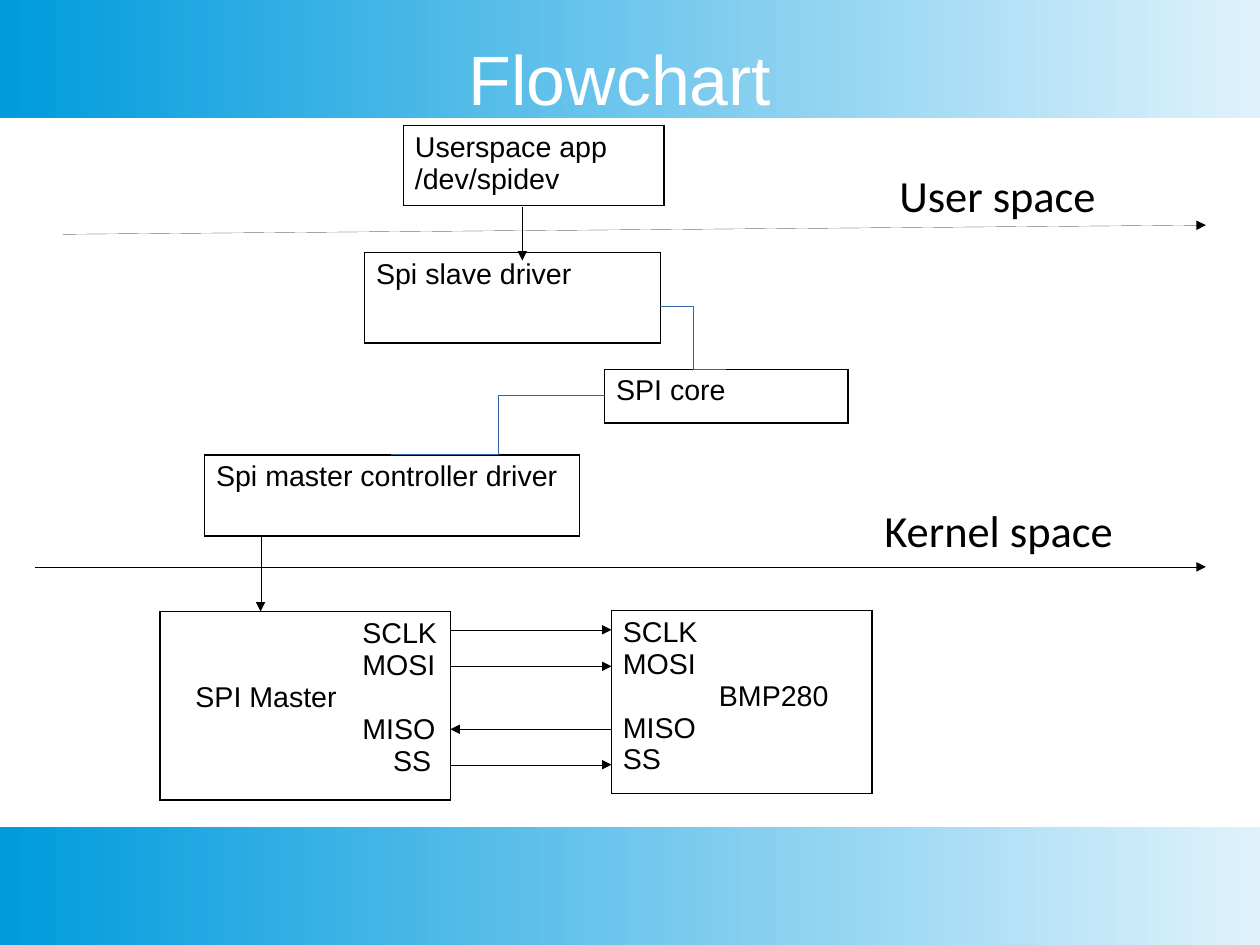
from lxml import etree
from pptx import Presentation
from pptx.dml.color import RGBColor
from pptx.enum.shapes import MSO_CONNECTOR, MSO_SHAPE
from pptx.enum.text import MSO_ANCHOR, PP_ALIGN
from pptx.oxml.ns import qn
from pptx.util import Inches, Pt

RECT = MSO_SHAPE.RECTANGLE
STRAIGHT, ELBOW = MSO_CONNECTOR.STRAIGHT, MSO_CONNECTOR.ELBOW
LEFT, CENTER = PP_ALIGN.LEFT, PP_ALIGN.CENTER
TOP, MIDDLE = MSO_ANCHOR.TOP, MSO_ANCHOR.MIDDLE

COLORS = {"deep": "009BDD", "pale": "DFF2FC", "ink": "000000",
          "link": "3465A4", "white": "FFFFFF"}
# The page is 28 by 21 cm
WIDTH, HEIGHT, BAR = 28 / 2.54, 21 / 2.54, 1.03

# Boxes: left, top, width, height, row height, lines of (text, indent)
BOXES = [
    (3.53, 1.1, 2.28, 0.7, 0.37, [("Userspace app", 0), ("/dev/spidev", 0)]),
    (3.19, 2.21, 2.59, 0.79, 0.79, [("Spi slave driver", 0)]),
    (5.29, 3.23, 2.13, 0.47, 0.47, [("SPI core", 0)]),
    (1.79, 3.98, 3.28, 0.71, 0.71, [("Spi master controller driver", 0)]),
    (1.4, 5.35, 2.54, 1.65, 1.65, [("SCLK", 1.67), ("MOSI", 1.67),
                                   ("SPI Master", 0.21), ("MISO", 1.67),
                                   ("SS", 1.94)]),
    (5.35, 5.34, 2.28, 1.6, 1.58, [("SCLK", 0), ("MOSI", 0),
                                   ("BMP280", 0.84), ("MISO", 0),
                                   ("SS", 0)]),
]
# Bus lines: height and whether the signal runs to the master
BUS = [(5.51, False), (5.83, False), (6.38, True), (6.69, False)]
BUS_LEFT, BUS_RIGHT = 3.94, 5.35


def rgb(name):
    return RGBColor.from_string(COLORS[name])


def write(frame, lines, size=18, font="Arial", color="ink", align=LEFT):
    for i, (text, indent) in enumerate(lines):
        para = frame.add_paragraph() if i else frame.paragraphs[0]
        para.alignment = align
        if indent:
            props = para._p.get_or_add_pPr()
            props.set("marL", str(Inches(indent)))
            props.set("indent", "0")
        run = para.add_run()
        run.text = text
        run.font.size = Pt(size)
        run.font.name = font
        run.font.color.rgb = rgb(color)


def add_bar(slide, top):
    bar = slide.shapes.add_shape(RECT, 0, Inches(top),
                                 Inches(WIDTH), Inches(BAR))
    bar.shadow.inherit = False
    bar.line.fill.background()
    bar.fill.gradient()
    bar.fill.gradient_angle = 0
    for stop, name in zip(bar.fill.gradient_stops, ("deep", "pale")):
        stop.color.rgb = rgb(name)


def add_label(slide, text, left, top, width, height, inset=True,
              anchor=TOP, **style):
    box = slide.shapes.add_textbox(*map(Inches, (left, top, width, height)))
    frame = box.text_frame
    frame.word_wrap = True
    frame.vertical_anchor = anchor
    if not inset:
        frame.margin_left = frame.margin_right = 0
        frame.margin_top = frame.margin_bottom = 0
    write(frame, [(text, 0)], **style)


def add_box(slide, left, top, width, height, row, lines):
    area = map(Inches, (left, top, width, height))
    holder = slide.shapes.add_table(1, 1, *area)
    table = holder.table
    table.first_row = table.horz_banding = False
    table.rows[0].height = Inches(row)
    holder.height = Inches(height)
    cell = table.cell(0, 0)
    props = cell._tc.get_or_add_tcPr()
    for side in ("lnL", "lnR", "lnT", "lnB"):
        edge = etree.SubElement(props, qn("a:" + side), w=str(Pt(1)))
        fill = etree.SubElement(edge, qn("a:solidFill"))
        etree.SubElement(fill, qn("a:srgbClr"), val=COLORS["ink"])
    cell.fill.background()
    write(cell.text_frame, lines)


def add_line(slide, start, end, kind=STRAIGHT, color="ink", arrow=True):
    line = slide.shapes.add_connector(kind, *map(Inches, start + end))
    # Without the theme style the line is a hairline
    line._element.remove(line._element.find(qn("p:style")))
    line.line.color.rgb = rgb(color)
    if arrow:
        etree.SubElement(line.line._get_or_add_ln(), qn("a:tailEnd"),
                         type="triangle")
    etree.SubElement(line._element.spPr, qn("a:effectLst"))


def main():
    deck = Presentation()
    deck.slide_width, deck.slide_height = Inches(WIDTH), Inches(HEIGHT)
    slide = deck.slides.add_slide(deck.slide_layouts[6])

    # Bars and title
    for top in (0, HEIGHT - BAR):
        add_bar(slide, top)
    add_label(slide, "Flowchart ", 0, 0.33, WIDTH, 0.7, inset=False,
              anchor=MIDDLE, size=44, color="white", align=CENTER)

    # Boxes
    for box in BOXES:
        add_box(slide, *box)

    # Links between the layers
    add_line(slide, (4.57, 1.81), (4.57, 2.28))
    add_line(slide, (2.28, 4.69), (2.28, 5.35))
    for start, end in (((5.78, 2.68), (6.35, 3.23)),
                       ((5.29, 3.46), (3.43, 3.98))):
        add_line(slide, start, end, kind=ELBOW, color="link", arrow=False)

    # Bus signals
    for y, back in BUS:
        ends = [(BUS_LEFT, y), (BUS_RIGHT, y)]
        add_line(slide, *(reversed(ends) if back else ends))

    # Borders of user and kernel space
    add_line(slide, (0.55, 2.05), (10.55, 1.97))
    add_line(slide, (0.31, 4.96), (10.55, 4.96))
    add_label(slide, "User space", 7.77, 1.42, 2.6, 0.57,
              size=28, font="Calibri")
    add_label(slide, "Kernel space", 7.64, 4.35, 2.76, 0.57,
              size=28, font="Calibri")

    deck.save("out.pptx")


if __name__ == "__main__":
    main()
